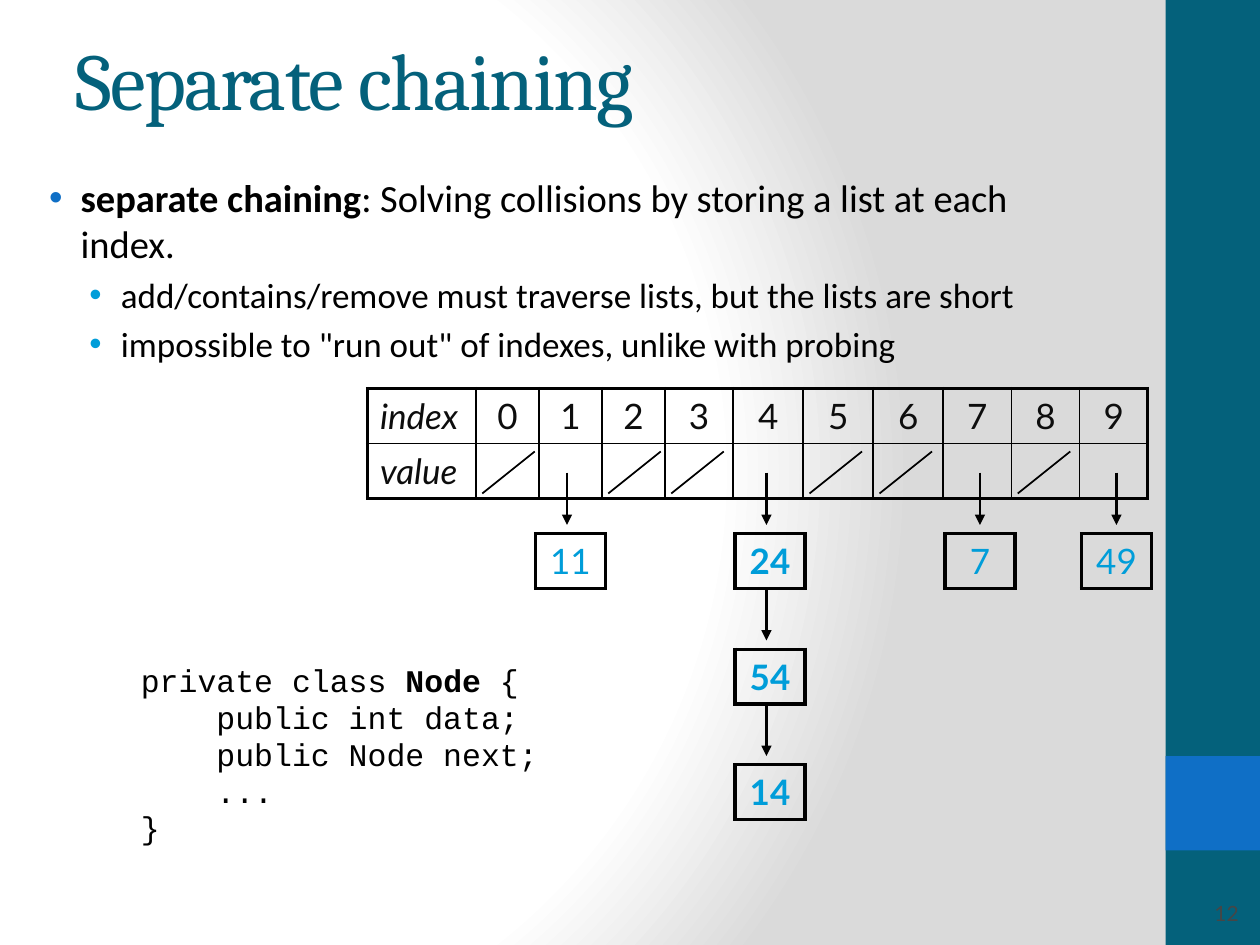
import pptx
import pptx.dml.color
import pptx.enum.shapes
import pptx.enum.text
import pptx.oxml
import pptx.oxml.ns
import pptx.util

Pt = pptx.util.Pt
ALIGN = pptx.enum.text.PP_ALIGN
ANCHOR = pptx.enum.text.MSO_ANCHOR
NS = pptx.oxml.ns.nsdecls("a")

COLORS = {
    "black": "000000", "white": "FFFFFF", "shade": "DADADA",
    "teal": "04617B", "blue": "0F6FC6", "sky": "009DD9",
    "ink": "0D0D0D", "number": "464646",
}
COL_WIDTHS = [62, 36, 36, 36, 39, 40, 40, 40, 39, 39, 39]
ROW_HEIGHT = 31.4
TABLE_LEFT, TABLE_TOP = 210, 222
EMPTY_INDEXES = [0, 2, 3, 5, 6, 8]
CHAINS = [  # box left, arrow x, values from the top down
    (306, 324, ["11"]),
    (420, 438, ["24", "54", "14"]),
    (540, 560, ["7"]),
    (618, 638, ["49"]),
]
CHAIN_PITCH = 66
BULLETS = [  # size, left margin, bullet colour, runs of (text, bold)
    (22, 27, "blue", [("separate chaining", True),
                      (": Solving collisions by storing a list at each index.", False)]),
    (20, 50, "sky", [("add/contains/remove must traverse lists, but the lists are short", False)]),
    (20, 50, "sky", [('impossible to "run out" of indexes, unlike with probing', False)]),
]
CODE = [
    [("private class ", False), ("Node", True), (" {", False)],
    [("    public int data;", False)],
    [("    public Node next;", False)],
    [("    ...", False)],
    [("}", False)],
]


def rgb(name):
    return pptx.dml.color.RGBColor.from_string(COLORS[name])


def add_run(p, text, color, **font):
    r = p.add_run()
    r.text = text
    for name, value in font.items():
        setattr(r.font, name, value)
    r.font.color.rgb = rgb(color)
    return r


def set_background(s):
    """Radial gradient, white on the left and grey on the right."""
    s.background.fill.gradient()
    old = next(s.element.iter(pptx.oxml.ns.qn("a:gradFill")))
    stops = "".join(
        f'<a:gs pos="{pos}"><a:srgbClr val="{COLORS[c]}"/></a:gs>'
        for pos, c in [(0, "white"), (75000, "white"), (100000, "shade")])
    new = pptx.oxml.parse_xml(
        f'<a:gradFill {NS} rotWithShape="1"><a:gsLst>{stops}</a:gsLst><a:path path="circle">'
        '<a:fillToRect l="20000" t="50000" r="100000" b="50000"/></a:path></a:gradFill>')
    old.getparent().replace(old, new)


def add_band(s, top, height, color):
    sp = s.shapes.add_shape(pptx.enum.shapes.MSO_SHAPE.RECTANGLE,
                            Pt(666), Pt(top), Pt(54), Pt(height))
    sp.shadow.inherit = False
    sp.fill.solid()
    sp.fill.fore_color.rgb = rgb(color)
    sp.line.fill.background()


def add_text_box(s, left, top, width, height):
    tf = s.shapes.add_textbox(Pt(left), Pt(top), Pt(width), Pt(height)).text_frame
    tf.word_wrap = True
    return tf


def paragraphs(tf, count):
    return [tf.paragraphs[0]] + [tf.add_paragraph() for _ in range(count - 1)]


def set_title(s, text):
    sp = s.shapes.title
    sp.left, sp.top, sp.width, sp.height = Pt(36), Pt(0), Pt(600), Pt(90)
    sp.text_frame.vertical_anchor = ANCHOR.MIDDLE
    p = sp.text_frame.paragraphs[0]
    p.alignment = ALIGN.LEFT
    r = add_run(p, text, "teal", name="Cambria", size=Pt(46))
    r.font._element.set("spc", "-100")


def add_bullets(s):
    tf = add_text_box(s, 12, 96, 624, 120)
    for i, p in enumerate(paragraphs(tf, len(BULLETS))):
        size, margin, bullet_color, runs = BULLETS[i]
        pPr = p._p.get_or_add_pPr()
        pPr.set("marL", str(Pt(margin)))
        pPr.set("indent", str(Pt(-18)))
        for xml in (f'<a:buClr {NS}><a:srgbClr val="{COLORS[bullet_color]}"/></a:buClr>',
                    f'<a:buFont {NS} typeface="Arial"/>',
                    f'<a:buChar {NS} char="•"/>'):
            pPr.append(pptx.oxml.parse_xml(xml))
        p.space_before = Pt(4 if i else 0)
        for text, bold in runs:
            add_run(p, text, "black", name="Calibri", size=Pt(size), bold=bold)


def add_code(s):
    tf = add_text_box(s, 73.4, 375, 300, 113)
    for p, runs in zip(paragraphs(tf, len(CODE)), CODE):
        p.line_spacing = Pt(21)
        for text, bold in runs:
            add_run(p, text, "black", name="Courier New", size=Pt(18), bold=bold)


def set_borders(cell, widths):
    """Draw the left, right, top and bottom borders, in that order."""
    tcPr = cell._tc.get_or_add_tcPr()
    for i, (side, width) in enumerate(zip("LRTB", widths)):
        tcPr.insert(i, pptx.oxml.parse_xml(
            f'<a:ln{side} {NS} w="{Pt(width)}"><a:solidFill>'
            f'<a:srgbClr val="{COLORS["black"]}"/></a:solidFill></a:ln{side}>'))


def add_grid(s, left, top, col_widths, rows, color, bold=False):
    """Table with a heavy frame and thin inner lines; the text cells are centred."""
    n_rows, n_cols = len(rows), len(col_widths)
    table = s.shapes.add_table(n_rows, n_cols, Pt(left), Pt(top), Pt(sum(col_widths)),
                               Pt(ROW_HEIGHT * n_rows)).table
    table.first_row = table.horz_banding = False
    for column, width in zip(table.columns, col_widths):
        column.width = Pt(width)
    for i, row in enumerate(rows):
        table.rows[i].height = Pt(ROW_HEIGHT)
        for j, text in enumerate(row):
            cell = table.cell(i, j)
            cell.fill.background()
            edges = (j == 0, j == n_cols - 1, i == 0, i == n_rows - 1)
            set_borders(cell, [2.25 if edge else 1 for edge in edges])
            if text:
                label = text.isalpha()
                p = cell.text_frame.paragraphs[0]
                p.alignment = ALIGN.LEFT if label else ALIGN.CENTER
                add_run(p, text, color, name="Lato", size=Pt(20), bold=bold, italic=label)


def add_line(s, x1, y1, x2, y2, width, arrow=False):
    c = s.shapes.add_connector(pptx.enum.shapes.MSO_CONNECTOR.STRAIGHT,
                               Pt(x1), Pt(y1), Pt(x2), Pt(y2))
    c.line.color.rgb = rgb("black")
    c.line.width = Pt(width)
    if arrow:
        c.line._get_or_add_ln().append(
            pptx.oxml.parse_xml(f'<a:tailEnd {NS} type="triangle"/>'))
    c._element.spPr.append(pptx.oxml.parse_xml(f"<a:effectLst {NS}/>"))


def add_hash_table(s):
    rows = [["index"] + [str(i) for i in range(10)], ["value"] + [""] * 10]
    add_grid(s, TABLE_LEFT, TABLE_TOP, COL_WIDTHS, rows, "ink")
    for index in EMPTY_INDEXES:
        x = TABLE_LEFT + sum(COL_WIDTHS[:index + 1]) + 3.6
        add_line(s, x + 30, 258, x, 282, 1)


def add_chain(s, left, arrow_x, values):
    for i, value in enumerate(values):
        dy = i * CHAIN_PITCH
        add_grid(s, left, 305 + dy, [40], [[value]], "sky", bold=len(values) > 1)
        add_line(s, arrow_x, 270 + dy, arrow_x, 300 + dy, 1.5, arrow=True)


def add_slide_number(s, text):
    p = add_text_box(s, 660, 511, 55, 22).paragraphs[0]
    p.alignment = ALIGN.RIGHT
    add_run(p, text, "number", name="Lato", size=Pt(12))


def main():
    prs = pptx.Presentation()
    prs.slide_width, prs.slide_height = Pt(720), Pt(540)
    s = prs.slides.add_slide(prs.slide_layouts[5])
    set_background(s)
    add_band(s, 0, 540, "teal")
    add_band(s, 432, 54, "blue")
    set_title(s, "Separate chaining")
    add_bullets(s)
    add_code(s)
    add_hash_table(s)
    for chain in CHAINS:
        add_chain(s, *chain)
    add_slide_number(s, "12")
    prs.save("out.pptx")


if __name__ == "__main__":
    main()
